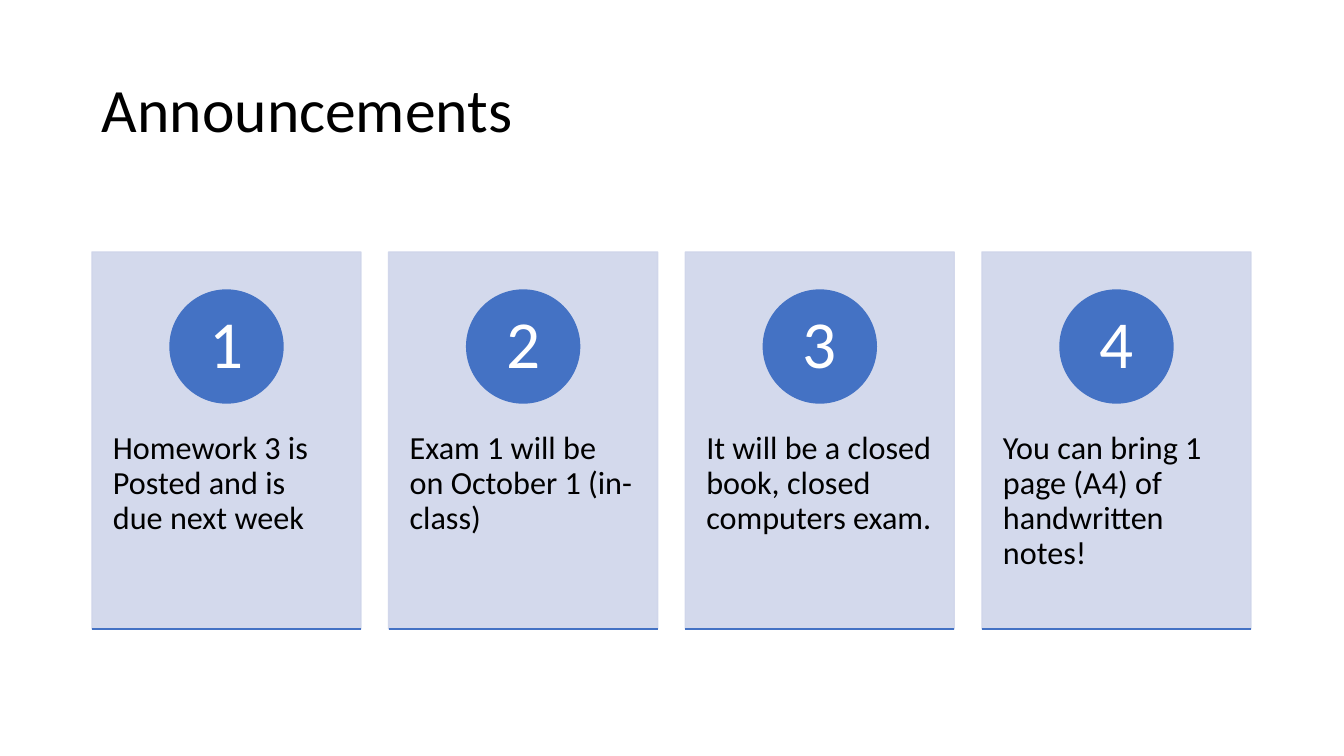
from lxml import etree
from pptx import Presentation
from pptx.dml.color import RGBColor
from pptx.enum import shapes, text
from pptx.oxml.ns import qn
from pptx.util import Emu, Pt

TITLE = "Announcements"
ANNOUNCEMENTS = [
    "Homework 3 is Posted and is due next week",
    "Exam 1 will be on October 1 (in-class)",
    "It will be a closed book, closed computers exam.",
    "You can bring 1 page (A4) of handwritten notes!",
]

FONT = "Calibri"
BLACK = RGBColor(0x00, 0x00, 0x00)
WHITE = RGBColor(0xFF, 0xFF, 0xFF)
BLUE = RGBColor(0x44, 0x72, 0xC4)
PALE = RGBColor(0xCF, 0xD5, 0xEA)

# Lengths in px
SLIDE_W, SLIDE_H = 1344, 756
LEFT, RIGHT = 92, 1251
TITLE_TOP, TITLE_H = 40, 146
CARD_TOP, CARD_W, CARD_H = 252, 269, 377
BODY_TOP, BODY_H = 396, 227
CIRCLE_TOP, CIRCLE = 290, 113


def px(n):
    return Emu(round(n * 914400 / 100.8))


def write(sp, words, size, color, align, anchor, inset_x, inset_y):
    tf = sp.text_frame
    tf.word_wrap = True
    tf.vertical_anchor = anchor
    tf.margin_left = tf.margin_right = px(inset_x)
    tf.margin_top = tf.margin_bottom = px(inset_y)
    p = tf.paragraphs[0]
    p.alignment = align
    p.line_spacing = 0.9
    r = p.add_run()
    r.text = words
    r.font.name = FONT
    r.font.size = Pt(size)
    r.font.color.rgb = color


def add_block(slide, kind, box, color, alpha=None):
    """Add a shape whose fill and 1 pt line share a colour; alpha is in percent."""
    sp = slide.shapes.add_shape(kind, *map(px, box))
    sp.shadow.inherit = False
    sp.fill.solid()
    sp.fill.fore_color.rgb = color
    sp.line.color.rgb = color
    sp.line.width = Pt(1)
    if alpha:
        for clr in sp._element.spPr.iter(qn("a:srgbClr")):
            etree.SubElement(clr, qn("a:alpha"), val=str(alpha * 1000))
    return sp


def add_rule(slide, x, y, w):
    line = slide.shapes.add_connector(
        shapes.MSO_CONNECTOR.STRAIGHT, px(x), px(y), px(x + w), px(y))
    line.line.color.rgb = BLUE
    line.line.width = Pt(1)
    etree.SubElement(line._element.spPr, qn("a:effectLst"))


def add_card(slide, x, number, words):
    add_block(slide, shapes.MSO_SHAPE.RECTANGLE,
              (x, CARD_TOP, CARD_W, CARD_H), PALE, alpha=90)
    body = slide.shapes.add_textbox(*map(px, (x, BODY_TOP, CARD_W, BODY_H)))
    write(body, words, 23, BLACK, text.PP_ALIGN.LEFT, text.MSO_ANCHOR.TOP, 21, 36)
    circle = add_block(slide, shapes.MSO_SHAPE.OVAL,
                       (x + (CARD_W - CIRCLE) / 2, CIRCLE_TOP, CIRCLE, CIRCLE), BLUE)
    write(circle, str(number), 48, WHITE,
          text.PP_ALIGN.CENTER, text.MSO_ANCHOR.MIDDLE, 9, 1)
    add_rule(slide, x, CARD_TOP + CARD_H, CARD_W)


def main():
    prs = Presentation()
    prs.slide_width, prs.slide_height = px(SLIDE_W), px(SLIDE_H)
    slide = prs.slides.add_slide(prs.slide_layouts[6])

    title = slide.shapes.add_textbox(
        *map(px, (LEFT, TITLE_TOP, RIGHT - LEFT, TITLE_H)))
    write(title, TITLE, 44, BLACK, text.PP_ALIGN.LEFT, text.MSO_ANCHOR.MIDDLE, 10, 5)

    pitch = (RIGHT - LEFT - CARD_W) / (len(ANNOUNCEMENTS) - 1)
    for i, words in enumerate(ANNOUNCEMENTS):
        add_card(slide, LEFT + i * pitch, i + 1, words)

    prs.save("out.pptx")


if __name__ == "__main__":
    main()
